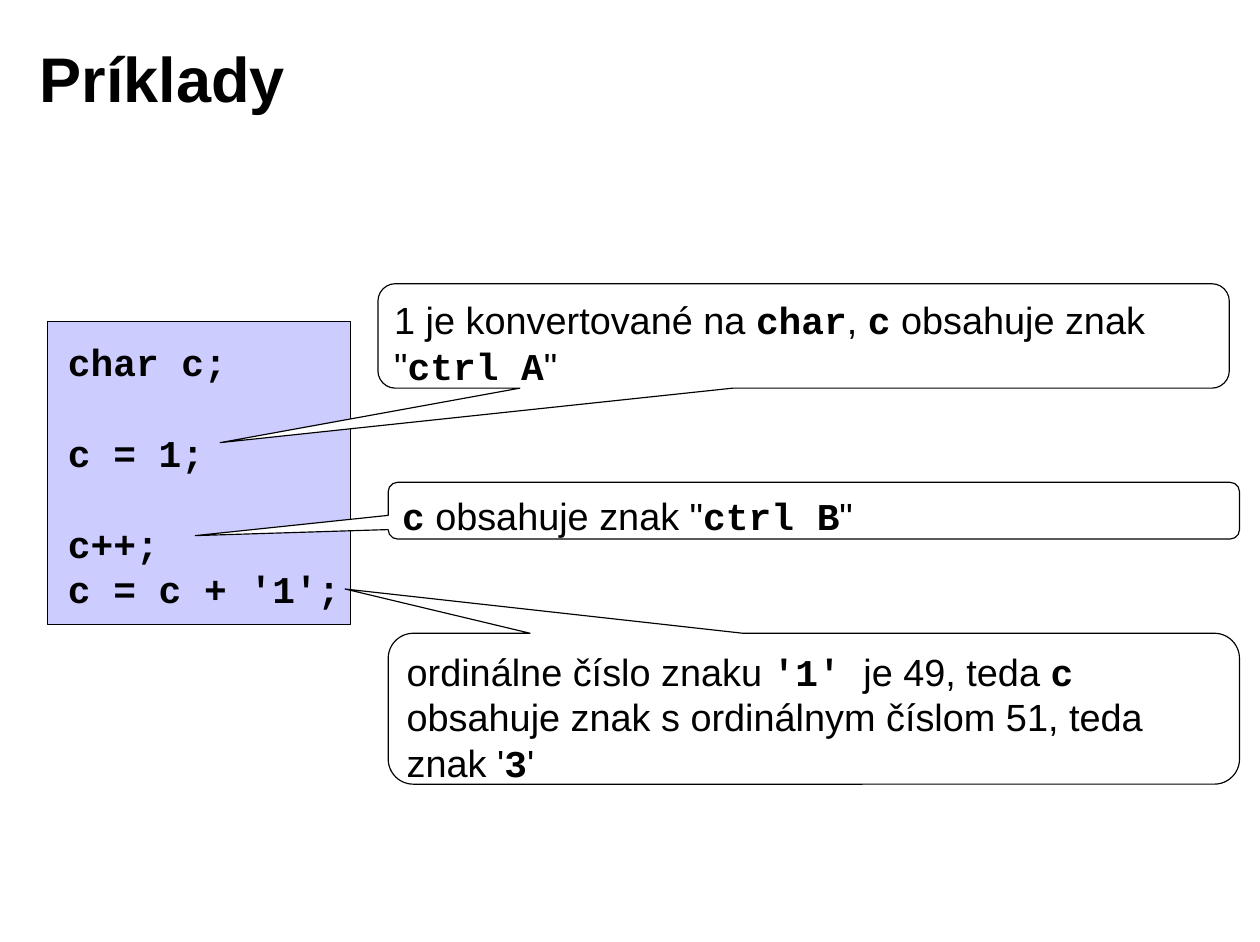
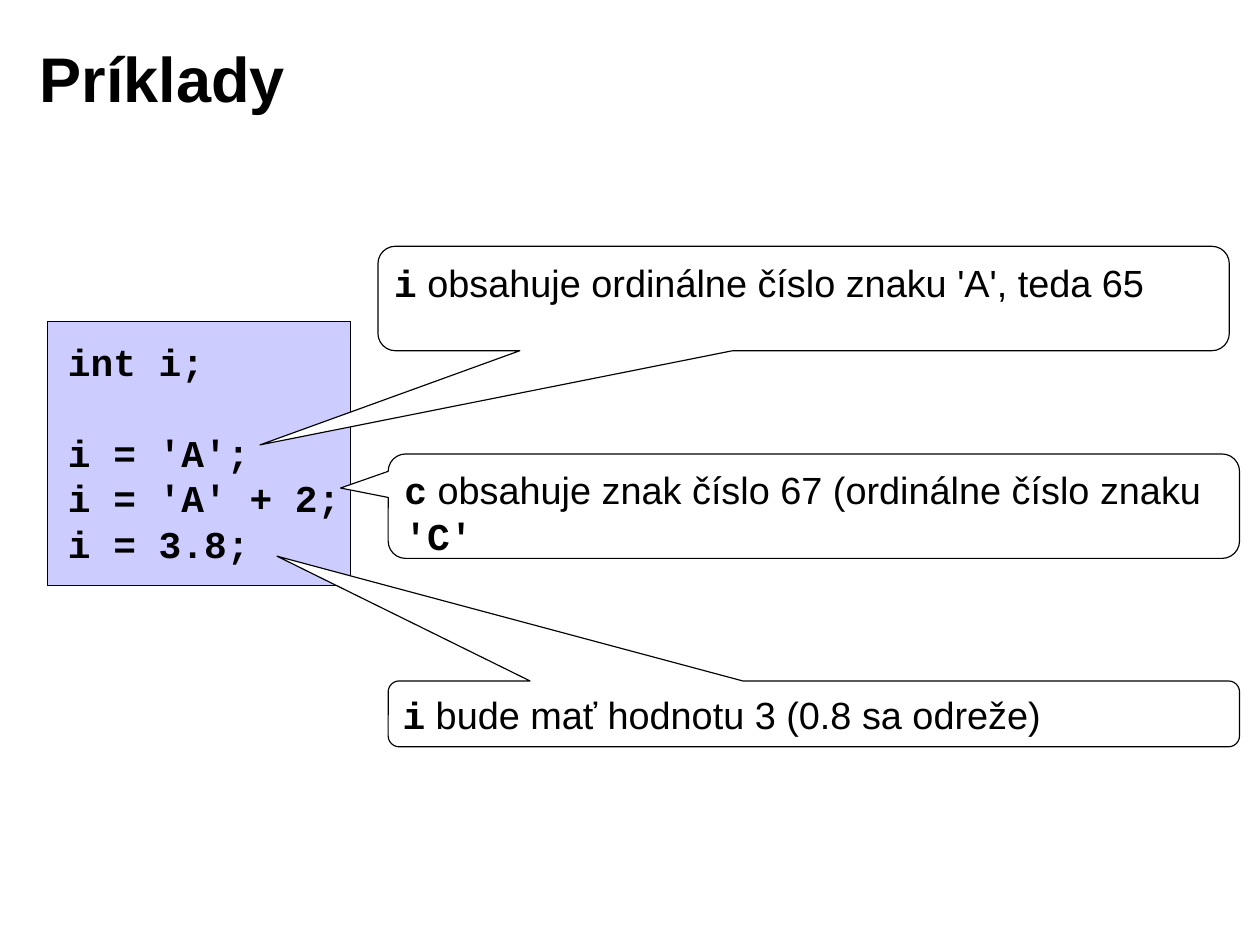
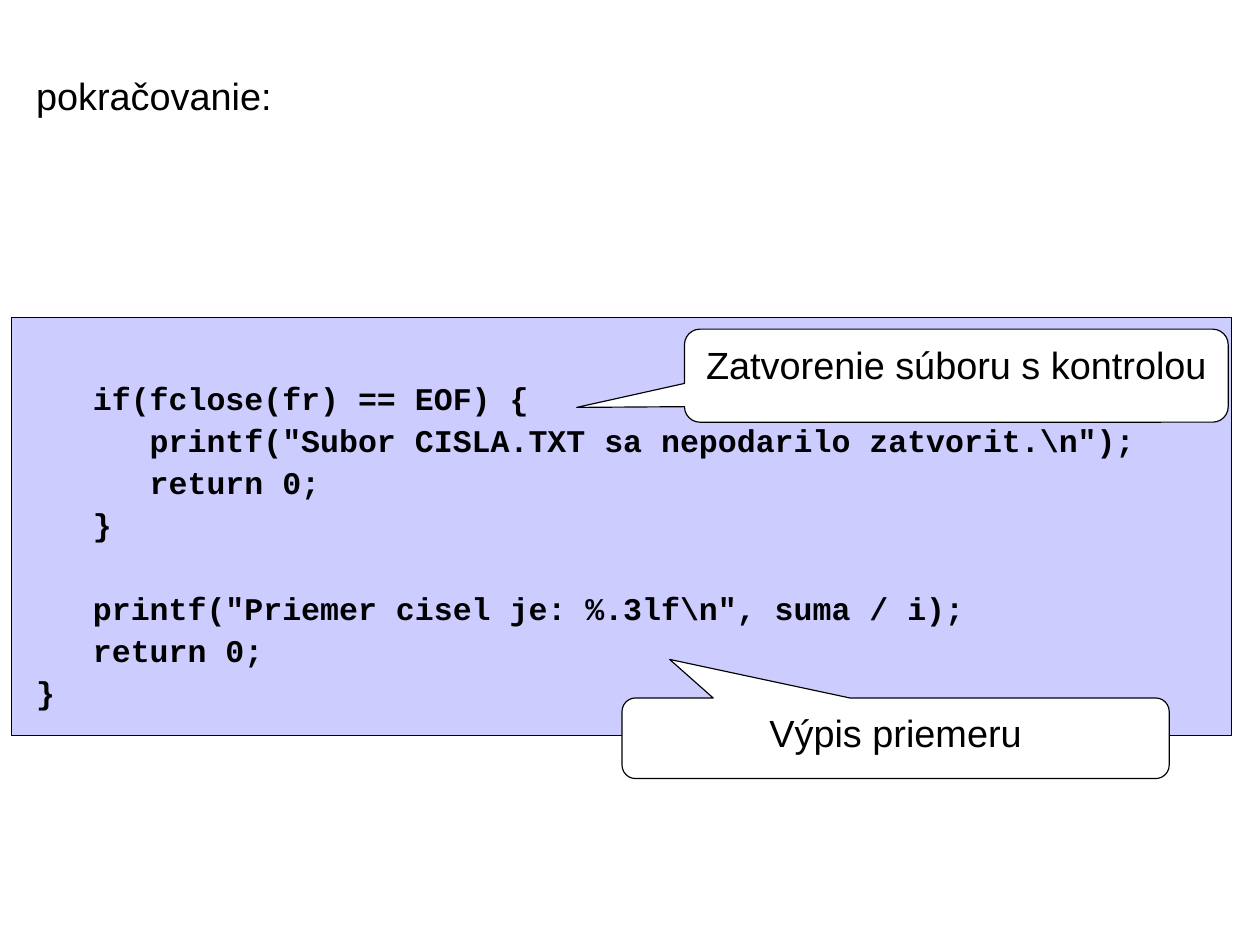
import pptx
import pptx.util
import pptx.dml.color
import pptx.enum.shapes
import pptx.enum.text

PX = 9144  # 100 px to the inch
COLOURS = {"ink": "000000", "paper": "FFFFFF", "code": "CCCCFF"}
TEXT_FONT, CODE_FONT = "Arial", "Courier New"
TEXT_SIZE = 24
TITLE_AREA = (25, 17, 892, 102)
LEFT = pptx.enum.text.PP_ALIGN.LEFT
CENTER = pptx.enum.text.PP_ALIGN.CENTER
TOP = pptx.enum.text.MSO_ANCHOR.TOP
MIDDLE = pptx.enum.text.MSO_ANCHOR.MIDDLE

# Areas are (left, top, width, height); tips are (x, y).
# Backticks in a callout enclose code.
SLIDES = [
    {
        "title": "Príklady",
        "panel": (42, 283, 267, 267),
        "code": {
            "area": (50, 293, 270, 250), "size": 24, "line": 28.9, "before": 0,
            "text": "char c;\n\nc = 1;\n\nc++;\nc = c + '1';",
        },
        "callouts": [
            ((333, 250, 750, 92), (194, 390), LEFT,
             "1 je konvertované na `char`, `c` obsahuje znak \"`ctrl A`\""),
            ((342, 425, 750, 50), (172, 472), LEFT,
             "`c` obsahuje znak \"`ctrl B`\""),
            ((342, 558, 750, 133), (304, 519), LEFT,
             "ordinálne číslo znaku `'1' `je 49, teda `c` obsahuje znak "
             "s ordinálnym číslom 51, teda znak '`3`'"),
        ],
    },
    {
        "title": "Príklady",
        "panel": (42, 283, 267, 233),
        "code": {
            "area": (50, 293, 270, 210), "size": 24, "line": 28.9, "before": 0,
            "text": "int i;\n\ni = 'A';\ni = 'A' + 2;\ni = 3.8;",
        },
        "callouts": [
            ((333, 217, 750, 92), (229, 392), LEFT,
             "`i` obsahuje ordinálne číslo znaku 'A', teda 65"),
            ((342, 400, 750, 92), (300, 430), LEFT,
             "`c` obsahuje znak číslo 67 (ordinálne číslo znaku `'C'`"),
            ((342, 600, 750, 58), (244, 490), LEFT,
             "`i` bude mať hodnotu 3 (0.8 sa odreže)"),
        ],
    },
    {
        "note": ((22, 59, 284, 75), "pokračovanie:"),
        "panel": (10, 280, 1075, 368),
        "code": {
            "area": (22, 332, 1067, 320), "size": 20, "line": 21.7, "before": 5,
            "text": r"""   if(fclose(fr) == EOF) {
      printf("Subor CISLA.TXT sa nepodarilo zatvorit.\n");
      return 0;
   }

   printf("Priemer cisel je: %.3lf\n", suma / i);
   return 0;
}""",
        },
        "callouts": [
            ((603, 290, 479, 82), (508, 359), CENTER,
             "Zatvorenie súboru s kontrolou"),
            ((548, 615, 482, 71), (590, 581), CENTER, "Výpis priemeru"),
        ],
    },
]


def emu(lengths):
    return [length * PX for length in lengths]


def colour(name):
    return pptx.dml.color.RGBColor.from_string(COLOURS[name])


def style(font, face=TEXT_FONT, size=TEXT_SIZE, bold=False):
    font.name, font.size, font.bold = face, pptx.util.Pt(size), bold
    font.color.rgb = colour("ink")


def set_frame(shape, anchor=TOP, top_inset=5):
    frame = shape.text_frame
    frame.word_wrap = True
    frame.auto_size = pptx.enum.text.MSO_AUTO_SIZE.NONE
    frame.vertical_anchor = anchor
    frame.margin_left = frame.margin_right = 10 * PX
    frame.margin_top, frame.margin_bottom = top_inset * PX, 5 * PX
    return frame


def write_rich(para, text):
    """Write text, with the parts between backticks in the code font."""
    for index, part in enumerate(text.split("`")):
        if part:
            span = para.add_run()
            span.text = part
            is_code = index % 2 == 1
            style(span.font, CODE_FONT if is_code else TEXT_FONT, bold=is_code)


def add_outlined(page, kind, area, fill):
    shape = page.shapes.add_shape(kind, *emu(area))
    shape.shadow.inherit = False
    shape.fill.solid()
    shape.fill.fore_color.rgb = colour(fill)
    shape.line.color.rgb = colour("ink")
    shape.line.width = pptx.util.Pt(0.75)
    return shape


def add_title(page, text):
    title = page.shapes.title
    title.left, title.top, title.width, title.height = emu(TITLE_AREA)
    frame = set_frame(title, MIDDLE)
    frame.text = text
    frame.paragraphs[0].alignment = LEFT
    style(frame.paragraphs[0].runs[0].font, size=40, bold=True)


def add_note(page, area, text):
    frame = set_frame(page.shapes.add_textbox(*emu(area)))
    write_rich(frame.paragraphs[0], text)


def add_code(page, code):
    """Write code lines; an empty line becomes space before the next one."""
    frame = set_frame(page.shapes.add_textbox(*emu(code["area"])))
    para, space = frame.paragraphs[0], 0
    for line in code["text"].split("\n"):
        if not line:
            space += code["line"] + code["before"]
            continue
        if para.runs:
            para = frame.add_paragraph()
        para.text = line
        para.line_spacing = pptx.util.Pt(code["line"])
        para.space_before = pptx.util.Pt(space)
        style(para.runs[0].font, CODE_FONT, code["size"], True)
        space = code["before"]


def add_callout(page, area, tip, alignment, text):
    kind = pptx.enum.shapes.MSO_SHAPE.ROUNDED_RECTANGULAR_CALLOUT
    callout = add_outlined(page, kind, area, "paper")
    left, top, width, height = area
    callout.adjustments[0] = (tip[0] - left) / width - 0.5
    callout.adjustments[1] = (tip[1] - top) / height - 0.5
    para = set_frame(callout, top_inset=7).paragraphs[0]
    para.alignment = alignment
    write_rich(para, text)


def main():
    deck = pptx.Presentation()
    deck.slide_width, deck.slide_height = emu((1110, 830))
    title_only, blank = deck.slide_layouts[5], deck.slide_layouts[6]
    for content in SLIDES:
        has_title = "title" in content
        page = deck.slides.add_slide(title_only if has_title else blank)
        if has_title:
            add_title(page, content["title"])
        else:
            add_note(page, *content["note"])
        rectangle = pptx.enum.shapes.MSO_SHAPE.RECTANGLE
        add_outlined(page, rectangle, content["panel"], "code")
        add_code(page, content["code"])
        for callout in content["callouts"]:
            add_callout(page, *callout)
    deck.save("out.pptx")


if __name__ == "__main__":
    main()
